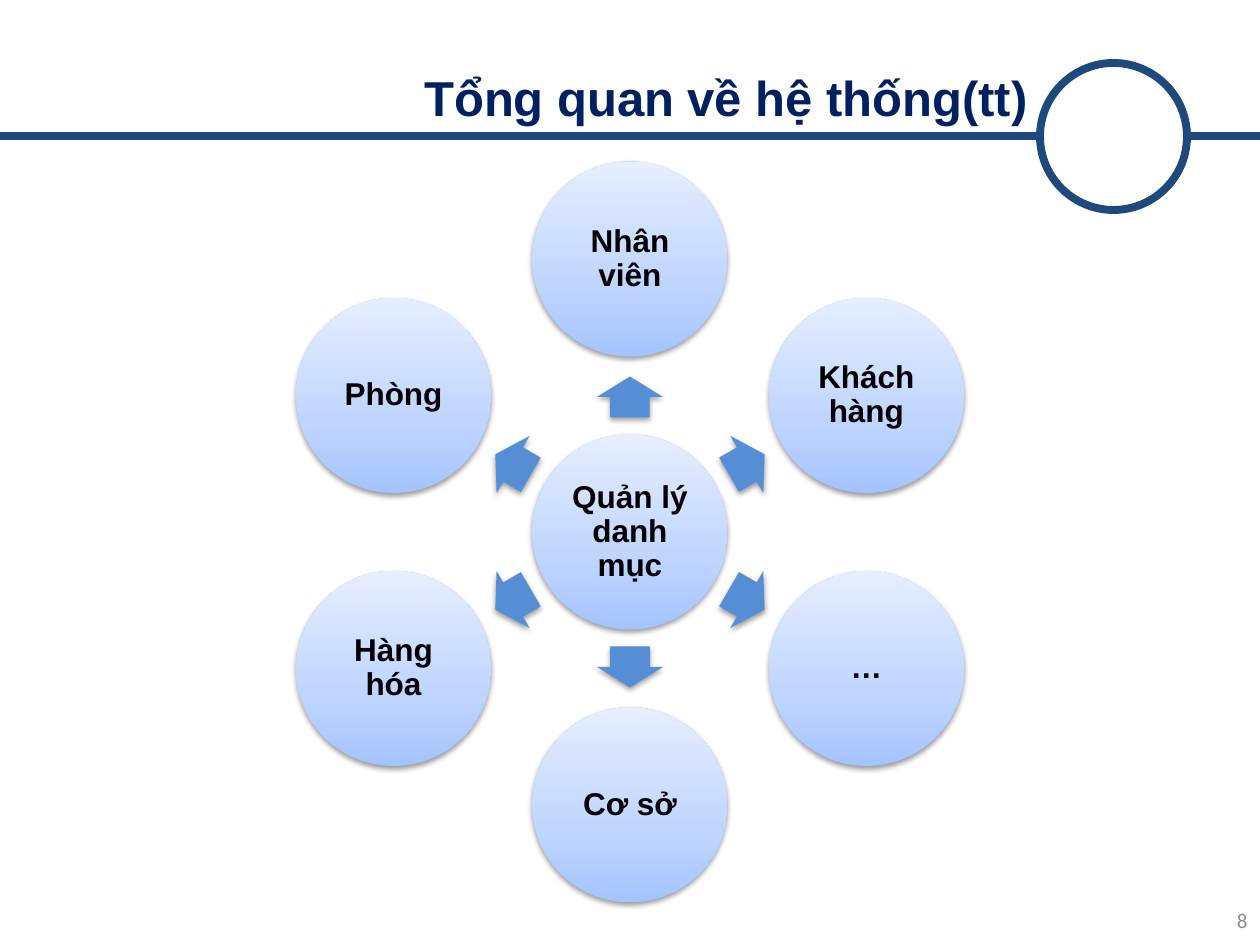
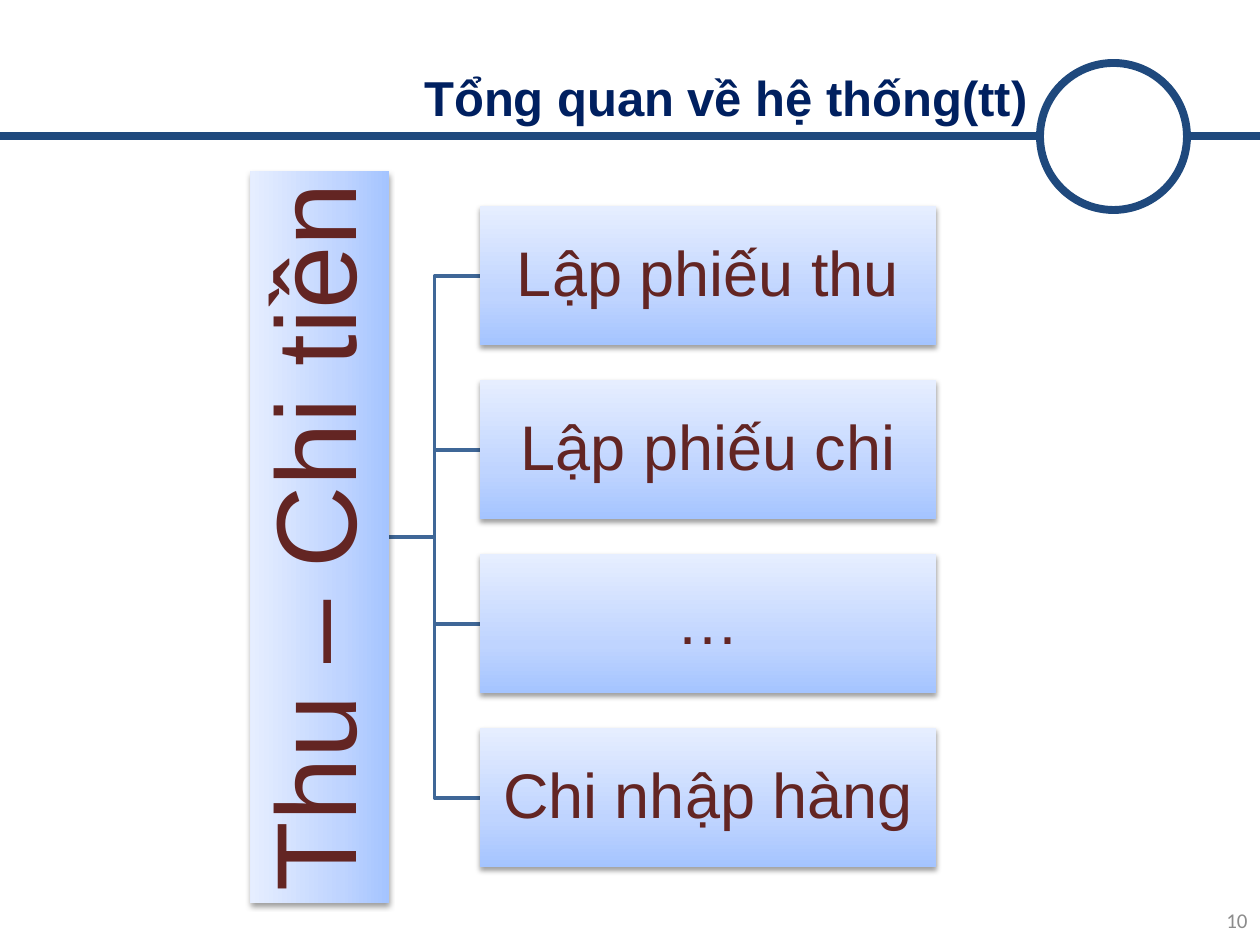
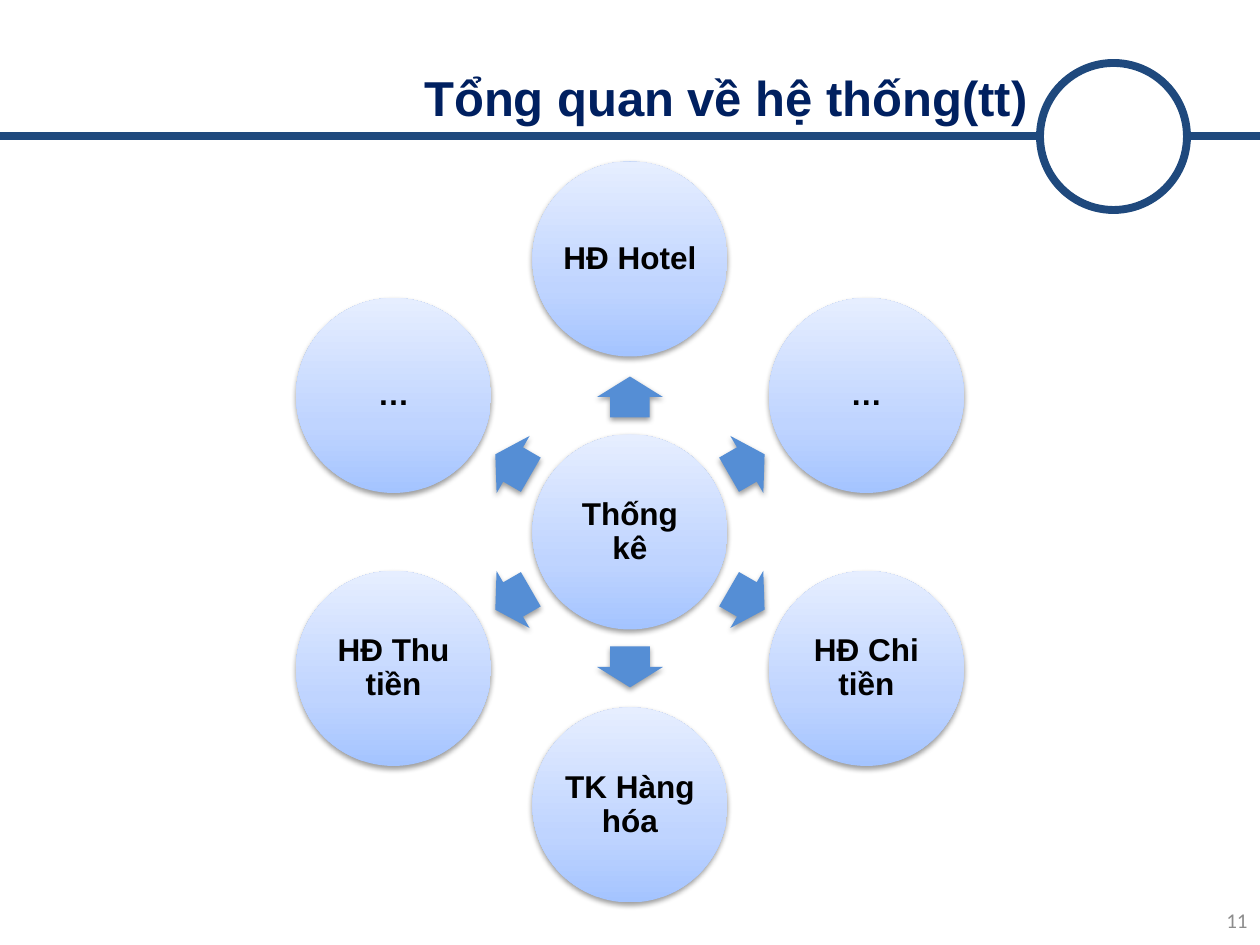
from dataclasses import dataclass
from math import cos, radians, sin

from pptx import Presentation
from pptx.dml.color import RGBColor
from pptx.enum.shapes import MSO_CONNECTOR as Link, MSO_SHAPE as Shape
from pptx.enum.text import MSO_ANCHOR as Anchor, PP_ALIGN as Align
from pptx.oxml import parse_xml
from pptx.oxml.ns import nsdecls
from pptx.util import Inches, Pt

PX = 914400 // 126  # EMU in one px


@dataclass(frozen=True)
class Theme:
    font: str = "Arial"
    number_font: str = "Calibri"
    band: str = "1F497D"
    title: str = "002060"
    number: str = "8C8C8C"
    white: str = "FFFFFF"
    black: str = "000000"
    brown: str = "632523"
    arrow: str = "558ED5"
    branch: str = "3F6797"
    gradient: tuple = ((0, "A4C4FF"), (35, "BFD4FF"), (100, "E6EEFF"))
    title_size: int = 28
    number_size: int = 12
    circle_size: int = 18
    root_size: int = 65
    item_size: int = 36


theme = Theme()
rgb = RGBColor.from_string
NS = nsdecls("a")
STOPS = "".join(f'<a:gs pos="{pos * 1000}"><a:srgbClr val="{color}"/></a:gs>'
                for pos, color in theme.gradient)
GRADIENT = (f'<a:gradFill {NS} rotWithShape="1"><a:gsLst>{STOPS}</a:gsLst>'
            '<a:lin ang="16200000" scaled="0"/></a:gradFill>')
SOLID = f'<a:solidFill {NS}><a:srgbClr val="{theme.arrow}"/></a:solidFill>'
SHADOW = (f'<a:effectLst {NS}><a:outerShdw blurRad="40000" dist="20000" dir="5400000" '
          f'rotWithShape="0"><a:srgbClr val="{theme.black}"><a:alpha val="38000"/>'
          '</a:srgbClr></a:outerShdw></a:effectLst>')
NO_EFFECT = f"<a:effectLst {NS}/>"


def add_node(slide, kind, center_x, center_y, width, height, fill):
    """Add a filled shape with a soft shadow, placed by its centre."""
    node = slide.shapes.add_shape(kind, round((center_x - width / 2) * PX),
                                  round((center_y - height / 2) * PX), width * PX, height * PX)
    properties = node._element.spPr
    properties.append(parse_xml(fill))
    node.line.fill.background()
    properties.append(parse_xml(SHADOW))
    return node


def write(box, text, size, color, align=Align.CENTER, bold=False, font=theme.font, inset=None):
    """Put one paragraph of formatted text into a box."""
    frame = box.text_frame
    frame.text = text
    frame.word_wrap = True
    frame.vertical_anchor = Anchor.MIDDLE
    if inset is not None:
        frame.margin_left = frame.margin_right = inset * PX
        frame.margin_top = frame.margin_bottom = inset * PX
    para = frame.paragraphs[0]
    para.alignment = align
    if align == Align.CENTER:
        para.line_spacing = 0.9
    span = para.runs[0]
    span.font.name = font
    span.font.size = Pt(size)
    span.font.bold = bold
    span.font.color.rgb = rgb(color)


deck = Presentation()
deck.slide_width, deck.slide_height = Inches(10), Inches(7.5)

# Shared frame: band line, ring, page number, title
pages = {}
for number in (8, 10, 11):
    page = pages[number] = deck.slides.add_slide(deck.slide_layouts[6])
    band = page.shapes.add_connector(Link.STRAIGHT, 0, 136 * PX, 1260 * PX, 136 * PX)
    band._element.spPr.append(parse_xml(NO_EFFECT))
    ring = page.shapes.add_shape(Shape.OVAL, 1040 * PX, 63 * PX, 147 * PX, 147 * PX)
    ring.shadow.inherit = False
    ring.fill.solid()
    ring.fill.fore_color.rgb = rgb(theme.white)
    for outlined in (band, ring):
        outlined.line.color.rgb = rgb(theme.band)
        outlined.line.width = Pt(4.5)
    number_box = page.shapes.add_textbox(966 * PX, 895 * PX, 294 * PX, 50 * PX)
    write(number_box, str(number), theme.number_size, theme.number, Align.RIGHT,
          font=theme.number_font)
    title_box = page.shapes.add_textbox(0, 53 * PX, 1040 * PX, 88 * PX)
    write(title_box, "Tổng quan về hệ thống(tt)", theme.title_size, theme.title, Align.RIGHT,
          bold=True)

# Slides 8 and 11: hub with six circles, clockwise from the top
HUB_X, HUB_Y, DIAMETER = 630, 532, 195
ORBIT, ARROW_ORBIT = 273, 135
wheels = {
    8: ("Quản lý danh mục",
        ("Nhân viên", "Khách hàng", "…", "Cơ sở", "Hàng hóa", "Phòng")),
    11: ("Thống kê",
         ("HĐ Hotel", "…", "HĐ Chi tiền", "TK Hàng hóa", "HĐ Thu tiền", "…")),
}
for number, (hub_text, labels) in wheels.items():
    page = pages[number]
    hub = add_node(page, Shape.OVAL, HUB_X, HUB_Y, DIAMETER, DIAMETER, GRADIENT)
    write(hub, hub_text, theme.circle_size, theme.black, bold=True, inset=2)
    for index, label in enumerate(labels):
        angle = index * 360 / len(labels) - 90
        dx, dy = cos(radians(angle)), sin(radians(angle))
        arrow = add_node(page, Shape.RIGHT_ARROW, HUB_X + ARROW_ORBIT * dx,
                         HUB_Y + ARROW_ORBIT * dy, 41, 66, SOLID)
        arrow.adjustments[0] = 0.6
        arrow.rotation = angle
        circle = add_node(page, Shape.OVAL, HUB_X + ORBIT * dx, HUB_Y + ORBIT * dy,
                          DIAMETER, DIAMETER, GRADIENT)
        write(circle, label, theme.circle_size, theme.black, bold=True, inset=2)

# Slide 10: upright root with four branches
page = pages[10]
ROOT_X, ROOT_Y, THICKNESS = 320, 537, 139
ITEM_LEFT, ITEM_WIDTH, ITEM_STEP = 480, 456, 174
items = ("Lập phiếu thu", "Lập phiếu chi", "…", "Chi nhập hàng")
for index, label in enumerate(items):
    center_y = round(ROOT_Y + (index - (len(items) - 1) / 2) * ITEM_STEP)
    branch = page.shapes.add_connector(Link.ELBOW, 389 * PX, ROOT_Y * PX,
                                       ITEM_LEFT * PX, center_y * PX)
    branch.line.color.rgb = rgb(theme.branch)
    branch.line.width = Pt(2)
    branch._element.spPr.append(parse_xml(NO_EFFECT))
    item = add_node(page, Shape.RECTANGLE, ITEM_LEFT + ITEM_WIDTH / 2, center_y,
                    ITEM_WIDTH, THICKNESS, GRADIENT)
    write(item, label, theme.item_size, theme.brown, inset=4)
root = add_node(page, Shape.RECTANGLE, ROOT_X, ROOT_Y, 732, THICKNESS, GRADIENT)
root.rotation = 270
write(root, "Thu – Chi tiền", theme.root_size, theme.brown, inset=6)

deck.save("out.pptx")
